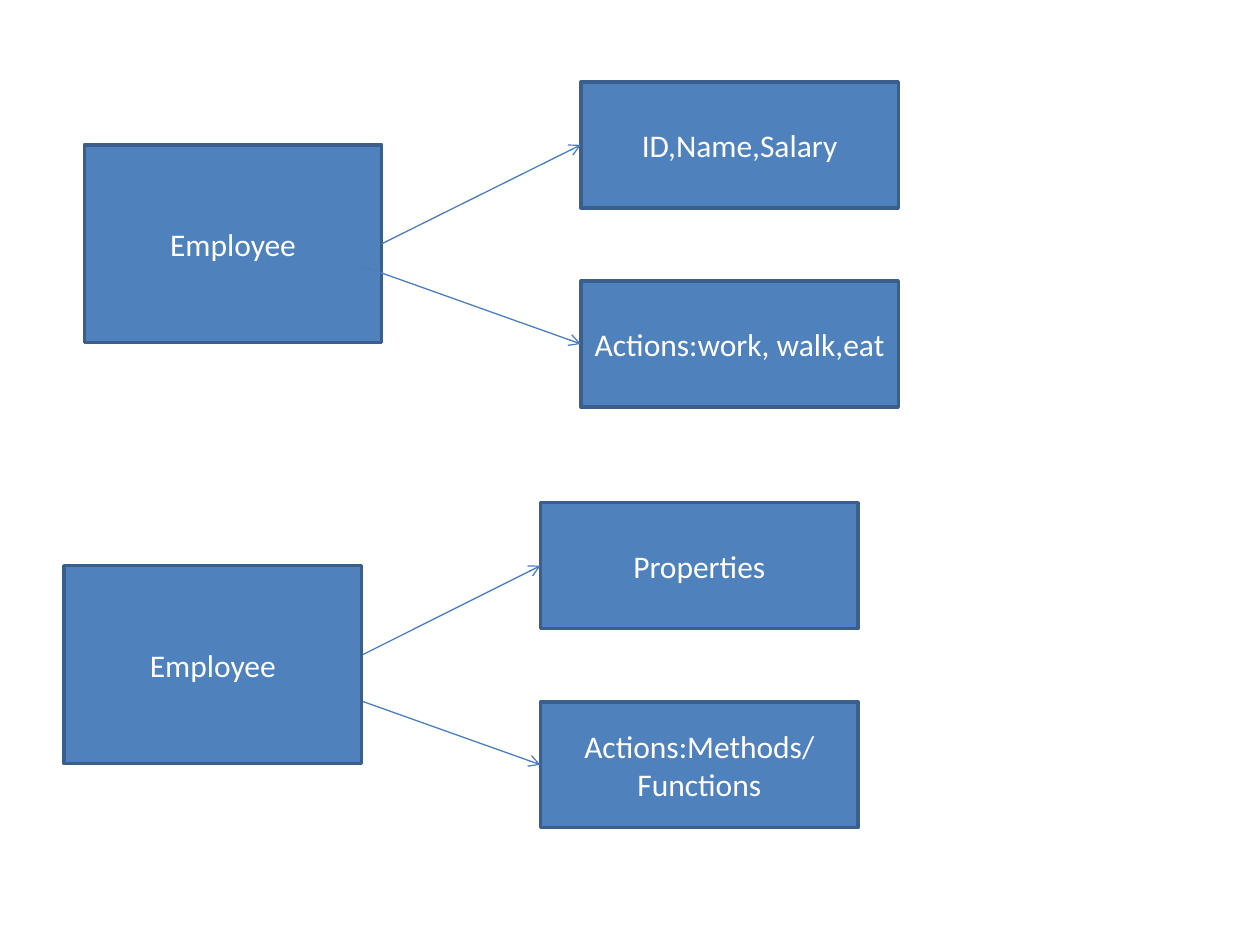
from dataclasses import dataclass

from lxml import etree
from pptx import Presentation
from pptx.dml.color import RGBColor
from pptx.enum.shapes import MSO_CONNECTOR, MSO_SHAPE
from pptx.enum.text import MSO_ANCHOR, PP_ALIGN
from pptx.oxml.ns import qn
from pptx.util import Inches, Pt

RECTANGLE = MSO_SHAPE.RECTANGLE
STRAIGHT = MSO_CONNECTOR.STRAIGHT
MIDDLE = MSO_ANCHOR.MIDDLE
CENTER = PP_ALIGN.CENTER
LEFT_SIDE, RIGHT_SIDE = 1, 3

COLORS = {"fill": "4F81BD", "border": "3A5F8C", "arrow": "4B7EBC", "text": "FFFFFF"}
FONT = "Calibri"

# Sizes and offsets in inches
ENTITY_SIZE = (2.36, 1.57)
DETAIL_SIZE = (2.52, 1.0)
DETAIL_RISE = 0.5  # first detail box starts this far above the entity
DETAIL_STEP = 1.58
ARROW_OFFSETS = ((-1.58, 0.79), (-1.74, 0.96))  # from detail left, entity top


@dataclass
class Diagram:
    entity: str
    entity_left: float
    detail_left: float
    top: float
    details: tuple[str, str]
    entity_in_front: bool


DIAGRAMS = (
    Diagram("Employee", 0.67, 4.61, 1.15,
            ("ID,Name,Salary", "Actions:work, walk,eat"), False),
    Diagram("Employee", 0.51, 4.29, 4.49,
            ("Properties", "Actions:Methods/Functions"), True),
)


def color(name: str) -> RGBColor:
    return RGBColor.from_string(COLORS[name])


def add_box(slide, text: str, left: float, top: float, size: tuple[float, float]):
    shape = slide.shapes.add_shape(RECTANGLE, Inches(left), Inches(top),
                                   Inches(size[0]), Inches(size[1]))
    shape.shadow.inherit = False
    shape.fill.solid()
    shape.fill.fore_color.rgb = color("fill")
    shape.line.color.rgb = color("border")
    shape.line.width = Pt(2)

    text_frame = shape.text_frame
    text_frame.text = text
    text_frame.word_wrap = True
    text_frame.vertical_anchor = MIDDLE
    paragraph = text_frame.paragraphs[0]
    paragraph.alignment = CENTER
    font = paragraph.runs[0].font
    font.name = FONT
    font.size = Pt(18)
    font.color.rgb = color("text")
    return shape


def add_arrow(slide, left: float, top: float, target):
    connector = slide.shapes.add_connector(STRAIGHT, Inches(left), Inches(top),
                                           target.left, target.top)
    connector.end_connect(target, LEFT_SIDE)
    connector.line.color.rgb = color("arrow")
    connector.line.width = Pt(0.75)
    line = connector.line._get_or_add_ln()
    etree.SubElement(line, qn("a:tailEnd"), type="arrow")
    etree.SubElement(connector._element.spPr, qn("a:effectLst"))
    return connector


def add_diagram(slide, diagram: Diagram) -> None:
    entity_box = (diagram.entity, diagram.entity_left, diagram.top, ENTITY_SIZE)
    if not diagram.entity_in_front:
        entity = add_box(slide, *entity_box)

    # Detail boxes
    details = [
        add_box(slide, text, diagram.detail_left,
                diagram.top - DETAIL_RISE + index * DETAIL_STEP, DETAIL_SIZE)
        for index, text in enumerate(diagram.details)
    ]

    # Arrows to the details
    arrows = [
        add_arrow(slide, diagram.detail_left + across, diagram.top + down, detail)
        for (across, down), detail in zip(ARROW_OFFSETS, details)
    ]

    if diagram.entity_in_front:
        add_box(slide, *entity_box)
    else:
        arrows[0].begin_connect(entity, RIGHT_SIDE)


def main() -> None:
    presentation = Presentation()
    presentation.slide_width = Inches(10)
    presentation.slide_height = Inches(7.5)
    slide = presentation.slides.add_slide(presentation.slide_layouts.get_by_name("Blank"))
    for diagram in DIAGRAMS:
        add_diagram(slide, diagram)
    presentation.save("out.pptx")


if __name__ == "__main__":
    main()
